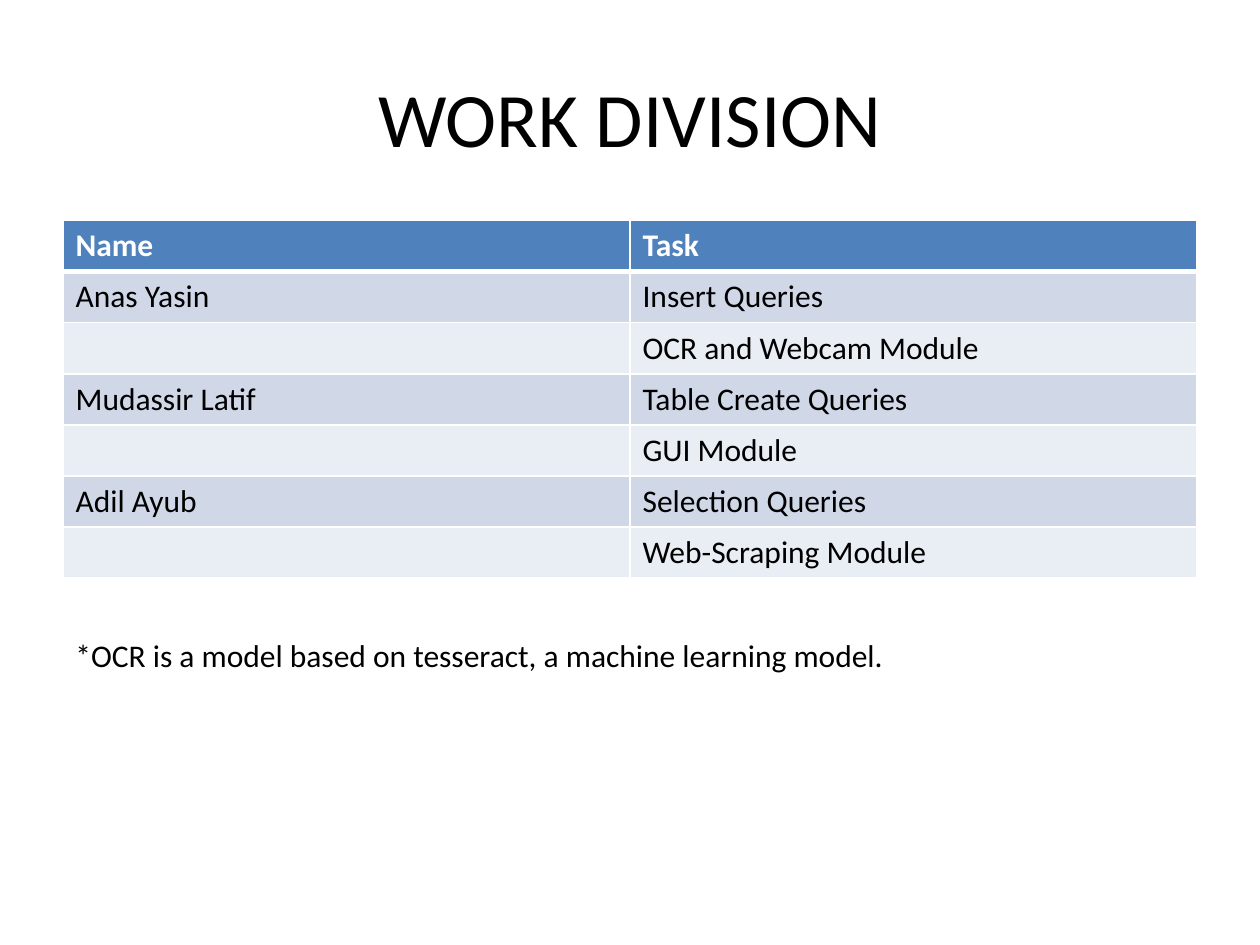
from lxml import etree
from pptx import Presentation
from pptx.dml.color import RGBColor
from pptx.enum.text import MSO_ANCHOR, PP_ALIGN
from pptx.oxml.ns import qn
from pptx.util import Inches, Pt

MIDDLE, TOP = MSO_ANCHOR.MIDDLE, MSO_ANCHOR.TOP
LEFT, CENTER = PP_ALIGN.LEFT, PP_ALIGN.CENTER

COLORS = {"text": "000000", "white": "FFFFFF", "header": "4F81BD",
          "odd": "D0D8E8", "even": "E9EDF4"}
BODY = {"name": "Calibri", "size": Pt(18), "bold": False}
TITLE = {**BODY, "size": Pt(44)}
HEADER = {**BODY, "bold": True}


def write(tf, text, style, color="text", align=LEFT):
    p = tf.paragraphs[0]
    p.alignment = align
    r = p.add_run()
    r.text = text
    for key, value in style.items():
        setattr(r.font, key, value)
    r.font.color.rgb = RGBColor.from_string(COLORS[color])


def add_border(cell, side, width):
    tcPr = cell._tc.get_or_add_tcPr()
    ln = etree.SubElement(tcPr, qn(f"a:ln{side}"), w=str(Pt(width)))
    fill = etree.SubElement(ln, qn("a:solidFill"))
    etree.SubElement(fill, qn("a:srgbClr"), val=COLORS["white"])


prs = Presentation()
prs.slide_width, prs.slide_height = Inches(10), Inches(7.5)
s = prs.slides.add_slide(prs.slide_layouts[6])

text_boxes = [
    ("WORK DIVISION", 0.3, 1.25, TITLE, CENTER, MIDDLE),
    ("*OCR is a model based on tesseract, a machine learning model.",
     5, 0.4, BODY, LEFT, TOP),
]
for text, top, height, style, align, anchor in text_boxes:
    sp = s.shapes.add_textbox(Inches(0.5), Inches(top), Inches(9), Inches(height))
    tf = sp.text_frame
    tf.word_wrap = True
    tf.vertical_anchor = anchor
    write(tf, text, style, align=align)

rows = [
    ("Name", "Task"),
    ("Anas Yasin", "Insert Queries"),
    ("", "OCR and Webcam Module"),
    ("Mudassir Latif", "Table Create Queries"),
    ("", "GUI Module"),
    ("Adil Ayub", "Selection Queries"),
    ("", "Web-Scraping Module"),
]
table = s.shapes.add_table(len(rows), 2, Inches(0.5), Inches(1.75),
                           Inches(9), Inches(2.84)).table
for i, row in enumerate(rows):
    header = i == 0
    fill = "header" if header else "odd" if i % 2 else "even"
    for j, text in enumerate(row):
        cell = table.cell(i, j)
        for side in "LRTB":
            thick = (header and side == "B") or (i == 1 and side == "T")
            add_border(cell, side, 3 if thick else 1)
        cell.fill.solid()
        cell.fill.fore_color.rgb = RGBColor.from_string(COLORS[fill])
        if text:
            write(cell.text_frame, text, HEADER if header else BODY,
                  "white" if header else "text")

prs.save("out.pptx")
